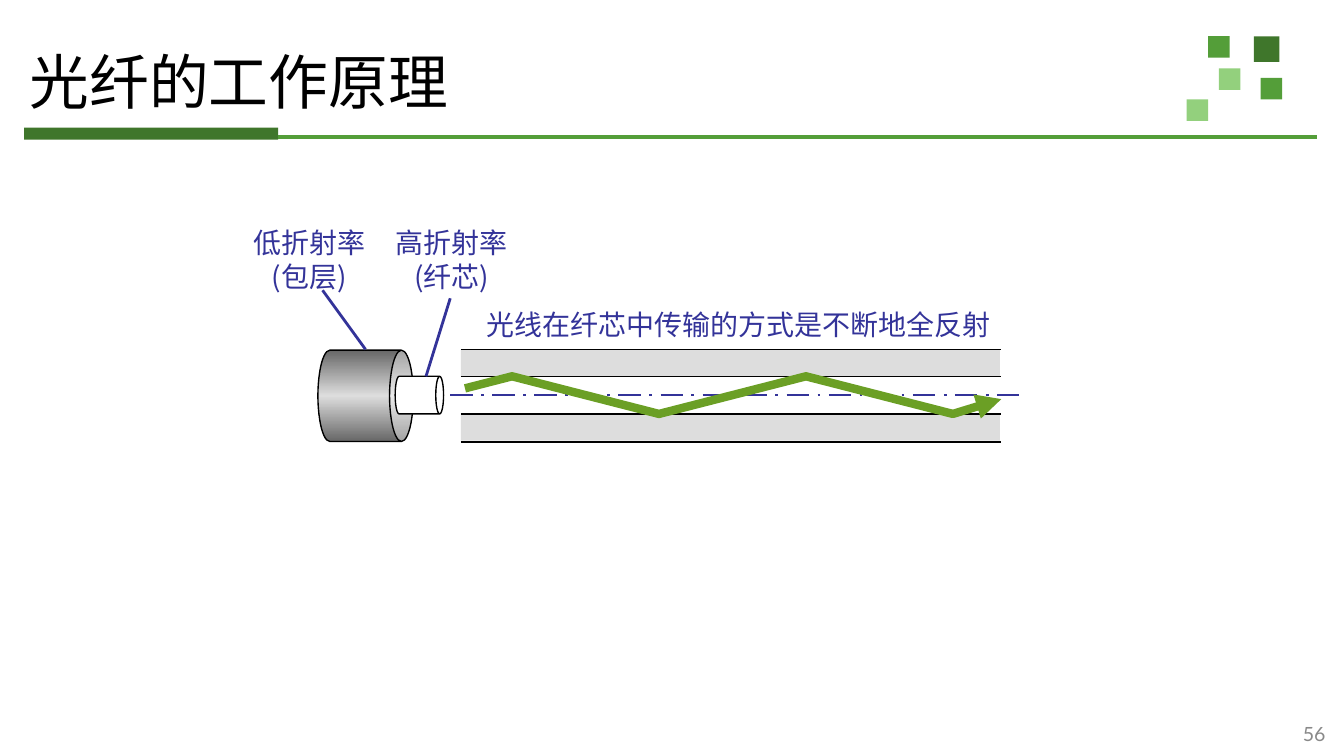
from copy import deepcopy

from pptx import Presentation
from pptx.dml.color import RGBColor
from pptx.enum.dml import MSO_LINE
from pptx.enum.shapes import MSO_CONNECTOR, MSO_SHAPE
from pptx.enum.text import MSO_ANCHOR, MSO_AUTO_SIZE, PP_ALIGN
from pptx.oxml.ns import qn
from pptx.util import Inches, Pt

RECT, CAN = MSO_SHAPE.RECTANGLE, MSO_SHAPE.CAN
STRAIGHT = MSO_CONNECTOR.STRAIGHT
LONG_DASH_DOT = MSO_LINE.LONG_DASH_DOT
MIDDLE = MSO_ANCHOR.MIDDLE
FIT_SHAPE = MSO_AUTO_SIZE.SHAPE_TO_FIT_TEXT
LEFT, CENTER, RIGHT = PP_ALIGN.LEFT, PP_ALIGN.CENTER, PP_ALIGN.RIGHT

CHINESE_FONT = "Noto Sans CJK SC"
DARK_GREEN = RGBColor(0x3F, 0x76, 0x2B)
GREEN = RGBColor(0x54, 0x9E, 0x39)
LIGHT_GREEN = RGBColor(0x93, 0xD0, 0x7D)
RAY_GREEN = RGBColor(0x6B, 0x9F, 0x25)
LABEL_BLUE = RGBColor(0x33, 0x33, 0x99)
CLADDING_GRAY = RGBColor(0xDD, 0xDD, 0xDD)
EDGE_GRAY = RGBColor(0x67, 0x67, 0x67)
NUMBER_GRAY = RGBColor(0x89, 0x89, 0x89)
WHITE = RGBColor(0xFF, 0xFF, 0xFF)
BLACK = RGBColor(0, 0, 0)


def add_block(slide, left, top, width, height, color, preset=RECT):
    block = slide.shapes.add_shape(
        preset, Inches(left), Inches(top), Inches(width), Inches(height))
    block.shadow.inherit = False
    block.fill.solid()
    block.fill.fore_color.rgb = color
    block.line.fill.background()
    return block


def add_line(slide, start, end, color, weight):
    line = slide.shapes.add_connector(STRAIGHT, *map(Inches, start + end))
    line.line.color.rgb = color
    line.line.width = Pt(weight)
    properties = line._element.spPr
    properties.append(properties.makeelement(qn("a:effectLst"), {}))
    return line


def add_text(slide, box, lines, font, size, color, align=LEFT):
    frame = slide.shapes.add_textbox(*map(Inches, box)).text_frame
    frame.word_wrap = True
    for index, text in enumerate(lines):
        paragraph = frame.add_paragraph() if index else frame.paragraphs[0]
        paragraph.alignment = align
        run = paragraph.add_run()
        run.text = text
        run.font.name = font
        run.font.size = Pt(size)
        run.font.color.rgb = color
        properties = run._r.get_or_add_rPr()
        properties.append(
            properties.makeelement(qn("a:ea"), {"typeface": CHINESE_FONT}))
    return frame


def add_label(slide, box, lines, align=CENTER):
    frame = add_text(slide, box, lines, CHINESE_FONT, 15, LABEL_BLUE, align)
    frame.word_wrap = False
    frame.auto_size = FIT_SHAPE


def add_corner_squares(slide, left, top):
    squares = [(0.5, 0, 0.19, DARK_GREEN), (0.16, 0, 0.16, GREEN),
               (0.55, 0.31, 0.16, GREEN), (0.24, 0.24, 0.16, LIGHT_GREEN),
               (0, 0.47, 0.16, LIGHT_GREEN)]
    for x, y, side, color in squares:
        add_block(slide, left + x, top + y, side, side, color)


def add_header(slide, left, top, width, title):
    add_block(slide, left + 0.03, top + 0.67, 1.89, 0.09, DARK_GREEN)
    rule_y = top + 0.74
    add_line(slide, (left + 1.92, rule_y), (left + width + 0.02, rule_y), GREEN, 2)
    frame = add_text(slide, (left, top, width, 0.71), [title],
                     "Times New Roman", 32, BLACK)
    frame.vertical_anchor = MIDDLE
    frame.margin_left = frame.margin_right = Inches(0.07)
    frame.margin_top = frame.margin_bottom = Inches(0.04)
    heading = frame.paragraphs[0]
    heading.line_spacing = 0.9
    indent = heading._p.get_or_add_pPr()
    indent.set("marL", str(Inches(0.75)))
    indent.set("indent", str(Inches(-0.75)))


def add_cylinder(slide, left, top, width, height, rim):
    """Add a can turned on its side; the box is its frame before turning."""
    cylinder = add_block(slide, left, top, width, height, WHITE, CAN)
    cylinder.rotation = 90
    cylinder.adjustments[0] = rim
    cylinder.line.color.rgb = BLACK
    cylinder.line.width = Pt(0.75)
    return cylinder


def shade_cladding(cladding):
    """Fill with a three-stop gradient, lightest along the axis."""
    cladding.fill.gradient()
    cladding.fill.gradient_angle = 0
    for stop in cladding.fill.gradient_stops:
        stop.color.rgb = EDGE_GRAY
    stops = cladding._element.spPr.find(qn("a:gradFill")).find(qn("a:gsLst"))
    stops.insert(1, deepcopy(stops[0]))
    middle = cladding.fill.gradient_stops[1]
    middle.position = 0.5
    middle.color.rgb = CLADDING_GRAY


def add_fiber_end(slide, left, top):
    cladding = add_cylinder(slide, left, top, 0.68, 0.71, 0.26)
    shade_cladding(cladding)
    add_cylinder(slide, left + 0.6, top + 0.17, 0.28, 0.36, 0.207)


def add_light_ray(slide, points):
    start, *bends = [(Inches(x), Inches(y)) for x, y in points]
    builder = slide.shapes.build_freeform(*start)
    builder.add_line_segments(bends, close=False)
    ray = builder.convert_to_shape()
    ray.shadow.inherit = False
    ray.fill.background()
    ray.line.color.rgb = RAY_GREEN
    ray.line.width = Pt(4.5)
    outline = ray.line._get_or_add_ln()
    outline.append(outline.makeelement(qn("a:tailEnd"), {"type": "triangle"}))


def add_fiber_layers(slide, left, top, width):
    layers = [(0, 0.2, CLADDING_GRAY), (0.2, 0.28, WHITE),
              (0.48, 0.2, CLADDING_GRAY)]
    for y, height, color in layers:
        add_block(slide, left, top + y, width, height, color)


def add_fiber_outline(slide, left, top, width):
    for y in (0, 0.2, 0.48, 0.69):
        add_line(slide, (left, top + y), (left + width, top + y), BLACK, 0.75)
    axis_y = top + 0.34
    axis = add_line(slide, (left - 0.08, axis_y), (left + width + 0.15, axis_y),
                    LABEL_BLUE, 1.5)
    axis.line.dash_style = LONG_DASH_DOT


def add_bouncing_ray(slide, left, top, width):
    core_top, core_bottom = top + 0.2, top + 0.48
    bounces = [(left + 0.38 + 3.28 / 3 * i, core_bottom if i % 2 else core_top)
               for i in range(4)]
    add_light_ray(slide, [(left + 0.03, top + 0.29), *bounces,
                          (left + width, top + 0.37)])


def add_fiber_diagram(slide, left, top):
    fiber_left, fiber_top = left + 1.65, top + 0.97
    add_fiber_layers(slide, fiber_left, fiber_top, 4.01)
    add_fiber_end(slide, left + 0.6, top + 0.96)
    add_fiber_outline(slide, fiber_left, fiber_top, 4.02)
    labels = [(1.06, ["高折射率", "(纤芯)"], (1.57, 0.59), (1.39, 1.17)),
              (0, ["低折射率", "(包层)"], (0.62, 0.53), (0.94, 0.97))]
    for x, lines, start, end in labels:
        add_label(slide, (left + x, top, 1.04, 0.61), lines)
        add_line(slide, (left + start[0], top + start[1]),
                 (left + end[0], top + end[1]), LABEL_BLUE, 1.5)
    add_label(slide, (left + 1.74, top + 0.61, 3.99, 0.35),
              ["光线在纤芯中传输的方式是不断地全反射"], LEFT)
    add_bouncing_ray(slide, fiber_left, fiber_top, 4.02)


def main():
    deck = Presentation()
    deck.slide_width = Inches(10)
    deck.slide_height = deck.slide_width * 9 // 16
    slide = deck.slides.add_slide(deck.slide_layouts[6])
    add_corner_squares(slide, 8.83, 0.27)
    add_header(slide, 0.15, 0.28, 9.63, "光纤的工作原理")
    add_fiber_diagram(slide, 1.78, 1.63)
    add_text(slide, (9.38, 5.32, 0.58, 0.3), ["56"], "Lato", 10.5,
             NUMBER_GRAY, RIGHT)
    deck.save("out.pptx")


if __name__ == "__main__":
    main()
